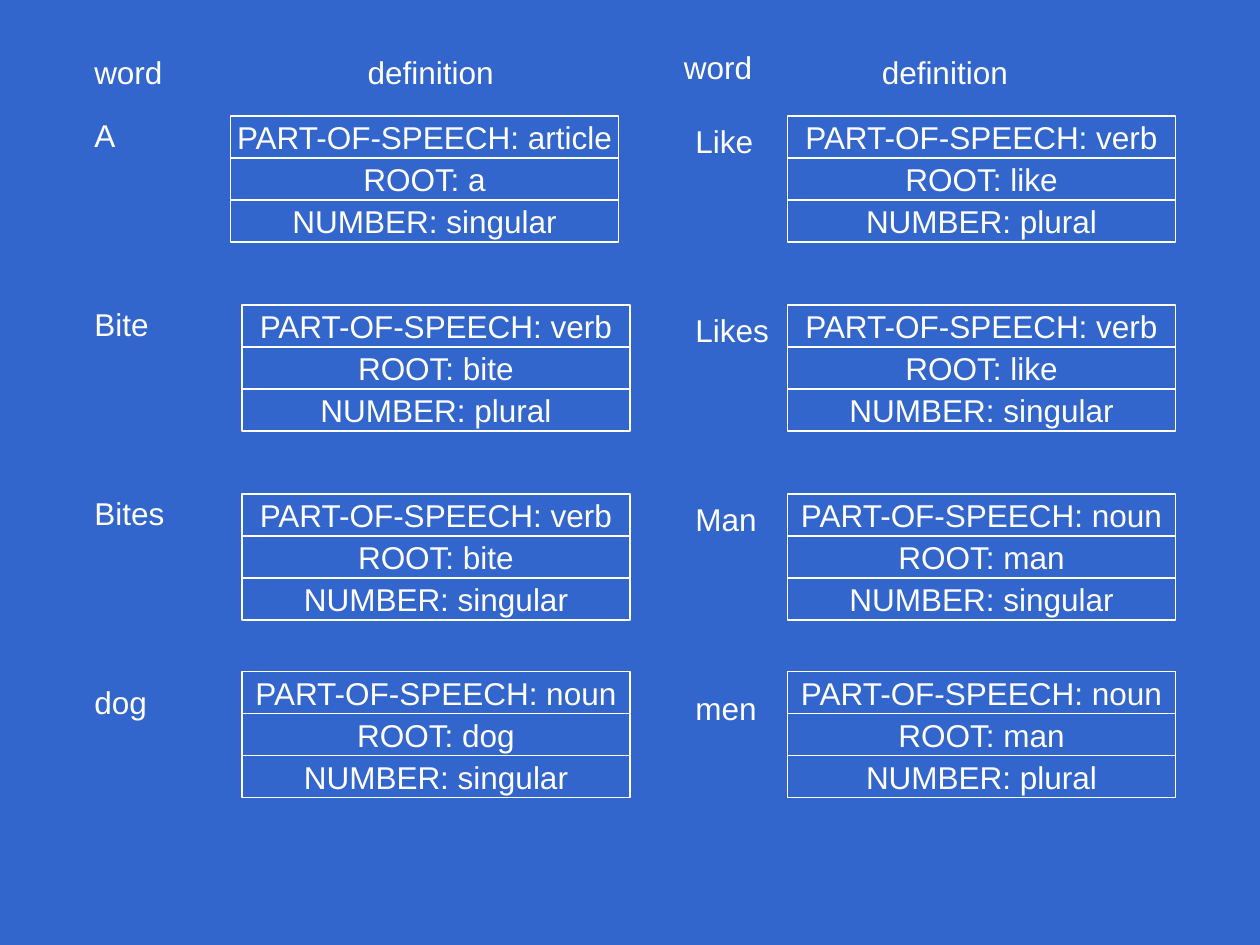
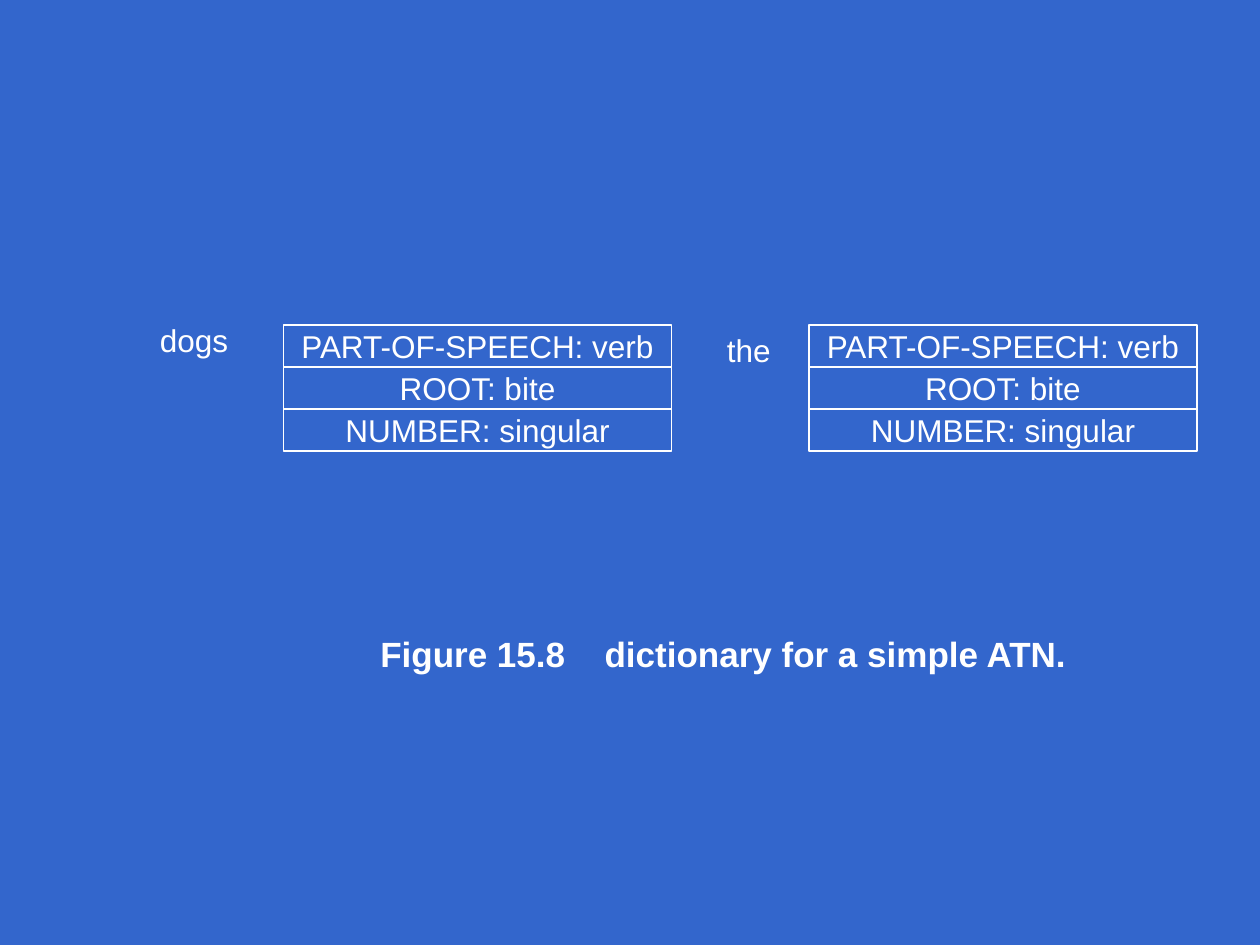
from lxml import etree
from pptx import Presentation
from pptx.dml.color import RGBColor
from pptx.enum.shapes import MSO_SHAPE as Shape
from pptx.enum.text import MSO_ANCHOR as Anchor, PP_ALIGN as Align
from pptx.oxml.ns import qn
from pptx.util import Inches, Pt

COLORS = {"background": "3366CC", "ink": "FFFFFF"}
FONT = "Arial"
ENTRY_WIDTH = 3.08
ROW_HEIGHT = 1 / 3
LABEL_HEIGHT = 0.4
WORDS_WIDTH = 0.85
WORD_GAP = 86.4  # points between words, giving a 1.5 inch pitch

LEFT_WORDS = ["A", "Bite", "Bites", "dog"]
RIGHT_WORDS = ["Like", "Likes", "Man", "men"]
LEFT_ENTRIES = [
    ("article", "a", "singular"),
    ("verb", "bite", "plural"),
    ("verb", "bite", "singular"),
    ("noun", "dog", "singular"),
]
RIGHT_ENTRIES = [
    ("verb", "like", "plural"),
    ("verb", "like", "singular"),
    ("noun", "man", "singular"),
    ("noun", "man", "plural"),
]
ENTRY_TOPS = [0.92, 2.42, 3.92, 5.33]


def color(name):
    return RGBColor.from_string(COLORS[name])


def write(frame, *lines, size=18, bold=False, align=Align.LEFT,
          anchor=Anchor.TOP, gap=0):
    """Fill a text frame with one paragraph per line, gap points apart."""
    frame.word_wrap = False
    frame.vertical_anchor = anchor
    for index, line in enumerate(lines):
        para = frame.add_paragraph() if index else frame.paragraphs[0]
        para.alignment = align
        para.space_before = Pt(gap if index else 0)
        span = para.add_run()
        span.text = line
        span.font.name = FONT
        span.font.size = Pt(size)
        span.font.bold = bold
        span.font.color.rgb = color("ink")


def add_label(page, left, top, width, *lines, height=LABEL_HEIGHT, **style):
    box = page.shapes.add_textbox(
        Inches(left), Inches(top), Inches(width), Inches(height))
    write(box.text_frame, *lines, **style)
    return box


def add_entry(page, left, top, part_of_speech, root, number):
    """Stack the three features of a dictionary entry as one group."""
    group = page.shapes.add_group_shape()
    features = [f"PART-OF-SPEECH: {part_of_speech}", f"ROOT: {root}",
                f"NUMBER: {number}"]
    for row, feature in enumerate(features):
        cell = group.shapes.add_shape(
            Shape.RECTANGLE, Inches(left), Inches(top + row * ROW_HEIGHT),
            Inches(ENTRY_WIDTH), Inches(ROW_HEIGHT))
        cell.shadow.inherit = False
        cell.fill.background()
        cell.line.color.rgb = color("ink")
        cell.line.width = Pt(0.75)
        write(cell.text_frame, feature, align=Align.CENTER,
              anchor=Anchor.MIDDLE)


def add_page(deck):
    page = deck.slides.add_slide(deck.slide_layouts[6])
    page.background.fill.solid()
    page.background.fill.fore_color.rgb = color("background")
    return page


def add_dictionary_column(page, words, entries, words_at, entry_lefts,
                          word_heading_at, definition_left):
    for left, top, entry in zip(entry_lefts, ENTRY_TOPS, entries):
        add_entry(page, left, top, *entry)
    add_label(page, *word_heading_at, 0.74, "word")
    add_label(page, definition_left, 0.37, 1.2, "definition")
    add_label(page, *words_at, WORDS_WIDTH, *words, height=4.91,
              gap=WORD_GAP)


def add_caption(page, left, top):
    caption = add_label(page, left, top, 5.66,
                        "Figure 15.8\tdictionary for a simple ATN.",
                        height=0.43, size=20, bold=True)
    properties = caption.text_frame.paragraphs[0]._p.get_or_add_pPr()
    tabs = etree.SubElement(properties, qn("a:tabLst"))
    etree.SubElement(tabs, qn("a:tab"), pos=str(Inches(1.78)), algn="l")


def build_dictionary_page(deck):
    page = add_page(deck)
    add_dictionary_column(
        page, LEFT_WORDS, LEFT_ENTRIES, words_at=(0.65, 0.87),
        entry_lefts=[1.83, 1.92, 1.92, 1.92],
        word_heading_at=(0.65, 0.37), definition_left=2.82)
    add_dictionary_column(
        page, RIGHT_WORDS, RIGHT_ENTRIES, words_at=(5.42, 0.92),
        entry_lefts=[6.25] * 4,
        word_heading_at=(5.33, 0.33), definition_left=6.9)


def build_closing_page(deck):
    page = add_page(deck)
    for left in (2.25, 6.42):
        add_entry(page, left, 2.58, "verb", "bite", "singular")
    add_label(page, 1.17, 2.5, 0.74, "dogs")
    add_label(page, 5.67, 2.58, 0.55, "the")
    add_caption(page, 2.92, 4.97)


def main():
    deck = Presentation()
    deck.slide_width, deck.slide_height = Inches(10), Inches(7.5)
    build_dictionary_page(deck)
    build_closing_page(deck)
    deck.save("out.pptx")


if __name__ == "__main__":
    main()
